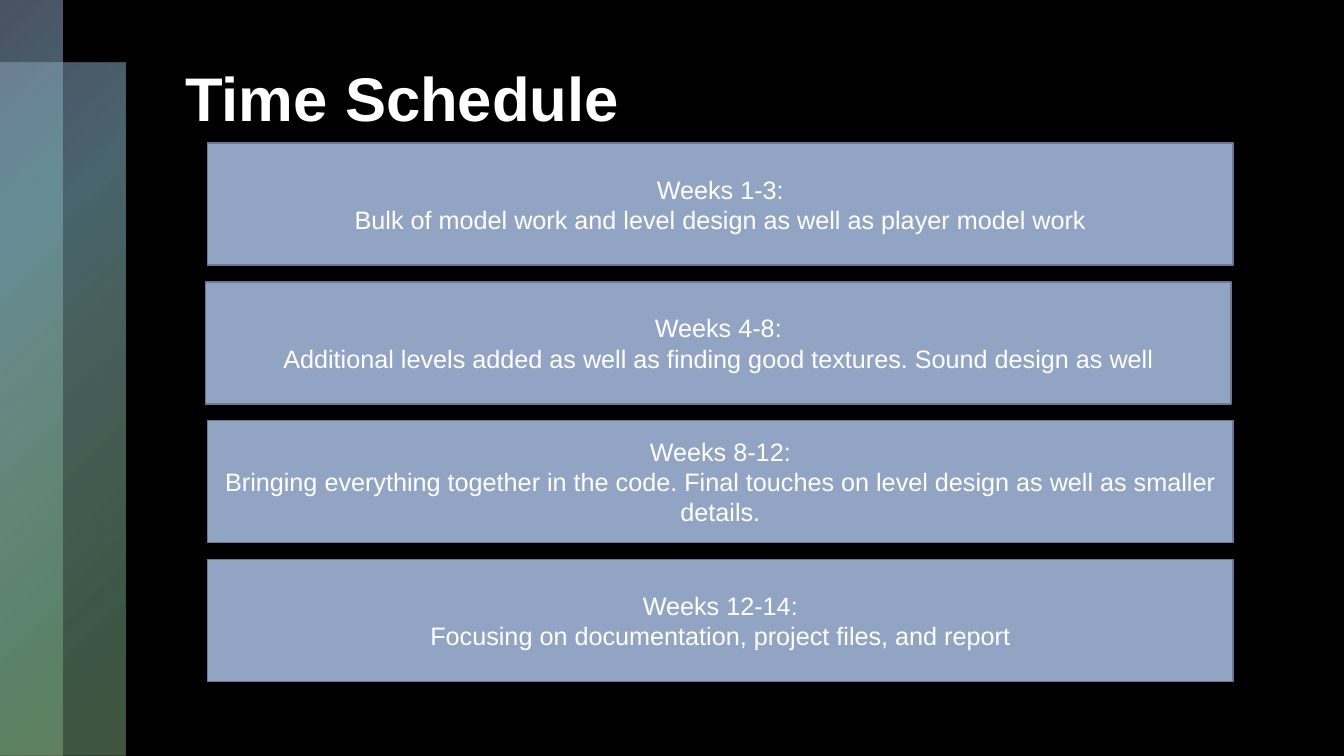
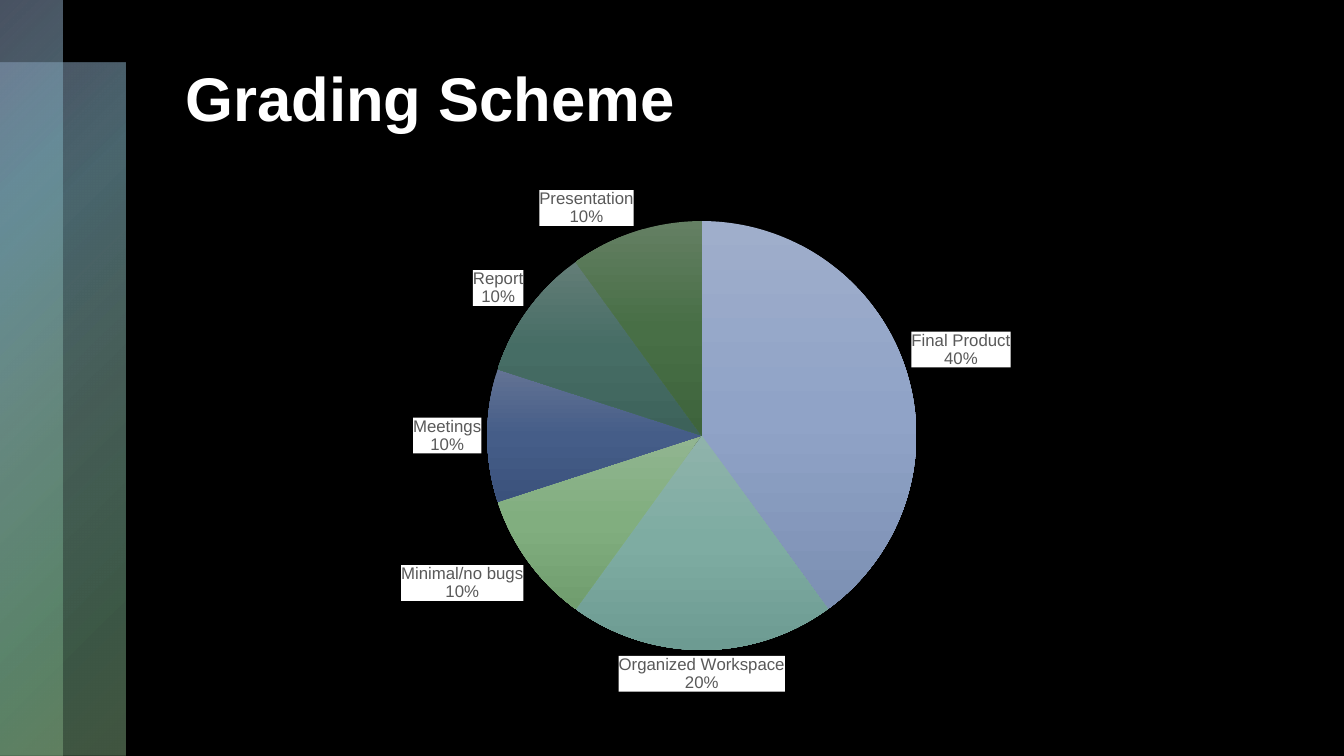
"""Build a project plan deck with a time schedule and a grading scheme."""
import lxml.etree
import pptx
import pptx.chart.data
import pptx.dml.color
import pptx.enum.chart
import pptx.enum.shapes
import pptx.enum.text
import pptx.oxml.ns
import pptx.util

Inches = pptx.util.Inches
Pt = pptx.util.Pt
qn = pptx.oxml.ns.qn

FONT = "Arial"
BLACK = "000000"
WHITE = "FFFFFF"
PERIWINKLE = "92A4C4"
SLATE = "6C7991"
LABEL_GRAY = "595959"

BAND_STOPS = [
    (0, PERIWINKLE, 50),
    (25, "7AA9B6", 60),
    (50, "80AAA1", 55),
    (81, "77AE8C", 50),
    (99, "83AC81", 50),
]
BANDS = [(0.62, 1.24, 6.88), (0, 0.62, 7.5)]

FIRST_TOP, LAST_TOP = 1.42, 5.55
PHASES = [
    (2.06, "Weeks 1-3:", "Bulk of model work and level design as well as player model work"),
    (2.04, "Weeks 4-8:",
     "Additional levels added as well as finding good textures. Sound design as well"),
    (2.06, "Weeks 8-12:",
     "Bringing everything together in the code. Final touches on level design "
     "as well as smaller details."),
    (2.06, "Weeks 12-14:", "Focusing on documentation, project files, and report"),
]

GRADES = [
    ("Final Product", 40, ("9FAECB", "90A3C7", "7C90B3")),
    ("Organized Workspace", 20, ("8FB3AB", "7EACA2", "6D9B92")),
    ("Minimal/no bugs", 10, ("91B590", "81AE7F", "709D6E")),
    ("Meetings", 10, ("637394", "455D88", "3B527C")),
    ("Report", 10, ("637D77", "466D65", "3D625A")),
    ("Presentation", 10, ("647F63", "486F46", "3E643C")),
]


def color(value):
    """Turn a hex string into a colour."""
    return pptx.dml.color.RGBColor.from_string(value)


def style_font(font, size, value, bold=False):
    """Set the shared typeface with a size and colour."""
    font.name = FONT
    font.size = Pt(size)
    font.bold = bold
    font.color.rgb = color(value)


def add_node(parent, tag, **attributes):
    """Append an XML element and return it."""
    return lxml.etree.SubElement(parent, qn(tag), attributes)


def set_stops(gradient, stops):
    """Replace the content of a gradient with (position, colour, opacity) stops."""
    for child in list(gradient):
        gradient.remove(child)
    stop_list = add_node(gradient, "a:gsLst")
    for position, value, opacity in stops:
        stop = add_node(stop_list, "a:gs", pos=str(position * 1000))
        tint = add_node(stop, "a:srgbClr", val=value)
        if opacity < 100:
            add_node(tint, "a:alpha", val=str(opacity * 1000))


def add_box(page, left, top, width, height):
    """Add a rectangle without a shadow."""
    box = page.shapes.add_shape(
        pptx.enum.shapes.MSO_SHAPE.RECTANGLE,
        Inches(left), Inches(top), Inches(width), Inches(height))
    box.shadow.inherit = False
    return box


def add_band(page, top, width, height):
    """Add a translucent band along the left edge."""
    band = add_box(page, 0, top, width, height)
    band.line.fill.background()
    band.fill.gradient()
    gradient = band.element.spPr.find(qn("a:gradFill"))
    set_stops(gradient, BAND_STOPS)
    spread = add_node(gradient, "a:path", path="circle")
    add_node(spread, "a:fillToRect", r="100000", b="100000")


def add_page(deck, title):
    """Add a slide with the shared bands and title."""
    page = deck.slides.add_slide(deck.slide_layouts[6])
    for band in BANDS:
        add_band(page, *band)
    box = page.shapes.add_textbox(Inches(1.74), Inches(0.55), Inches(10.37), Inches(0.8))
    box.text_frame.word_wrap = True
    para = box.text_frame.paragraphs[0]
    para.text = title
    style_font(para.font, 44, WHITE, bold=True)
    return page


def add_phase(page, left, top, weeks, work):
    """Add one schedule box."""
    box = add_box(page, left, top, 10.17, 1.21)
    box.fill.solid()
    box.fill.fore_color.rgb = color(PERIWINKLE)
    box.line.color.rgb = color(SLATE)
    box.line.width = Pt(1)
    frame = box.text_frame
    frame.word_wrap = True
    frame.vertical_anchor = pptx.enum.text.MSO_ANCHOR.MIDDLE
    frame.text = f"{weeks}\n{work}"
    for para in frame.paragraphs:
        para.alignment = pptx.enum.text.PP_ALIGN.CENTER
        style_font(para.font, 18, WHITE)


def style_labels(series):
    """Show category and percentage on white label boxes outside the pie."""
    labels = series.data_labels
    labels.show_value = False
    labels.show_category_name = True
    labels.show_percentage = True
    labels.number_format = "0%"
    labels.number_format_is_linked = False
    labels.position = pptx.enum.chart.XL_LABEL_POSITION.OUTSIDE_END
    style_font(labels.font, 12, LABEL_GRAY)
    node = series.format.element if hasattr(series.format, "element") else None
    return labels if node is None else labels


def finish_labels(chart):
    """Give the labels a white fill and put the percentage on its own line."""
    node = next(chart.element.iter(qn("c:dLbls")))
    properties = lxml.etree.Element(qn("c:spPr"))
    add_node(add_node(properties, "a:solidFill"), "a:srgbClr", val=WHITE)
    node.find(qn("c:txPr")).addprevious(properties)
    separator = lxml.etree.Element(qn("c:separator"))
    separator.text = "\n"
    flags = [child for child in node if child.tag in (qn("c:showPercent"), qn("c:showBubbleSize"))]
    flags[-1].addnext(separator)


def add_grade_pie(page):
    """Add the pie chart of grade shares."""
    names, shares, shades = zip(*GRADES)
    data = pptx.chart.data.CategoryChartData()
    data.categories = names
    data.add_series("Series 1", shares)
    chart = page.shapes.add_chart(
        pptx.enum.chart.XL_CHART_TYPE.PIE,
        Inches(1.74), Inches(1.7), Inches(10.38), Inches(5.3), data).chart
    chart.has_title = False
    chart.has_legend = False
    style_font(chart.font, 10, WHITE)
    chart.plots[0].vary_by_categories = True
    series = chart.plots[0].series[0]
    for index in range(len(GRADES)):
        slice_format = series.points[index].format
        slice_format.fill.gradient()
        slice_format.line.fill.background()
    for gradient, tones in zip(list(chart.element.iter(qn("a:gradFill"))), shades):
        set_stops(gradient, zip((0, 50, 100), tones, (100, 100, 100)))
        add_node(gradient, "a:lin", ang="5400000", scaled="0")
    style_labels(series)
    finish_labels(chart)


def main():
    """Build and save the deck."""
    deck = pptx.Presentation()
    deck.slide_width = Inches(13.33)
    deck.slide_height = Inches(7.5)
    backdrop = deck.slide_master.background.fill
    backdrop.solid()
    backdrop.fore_color.rgb = color(BLACK)

    schedule = add_page(deck, "Time Schedule")
    pitch = (LAST_TOP - FIRST_TOP) / (len(PHASES) - 1)
    for row, (left, weeks, work) in enumerate(PHASES):
        add_phase(schedule, left, FIRST_TOP + row * pitch, weeks, work)

    add_grade_pie(add_page(deck, "Grading Scheme"))
    deck.save("out.pptx")


if __name__ == "__main__":
    main()
